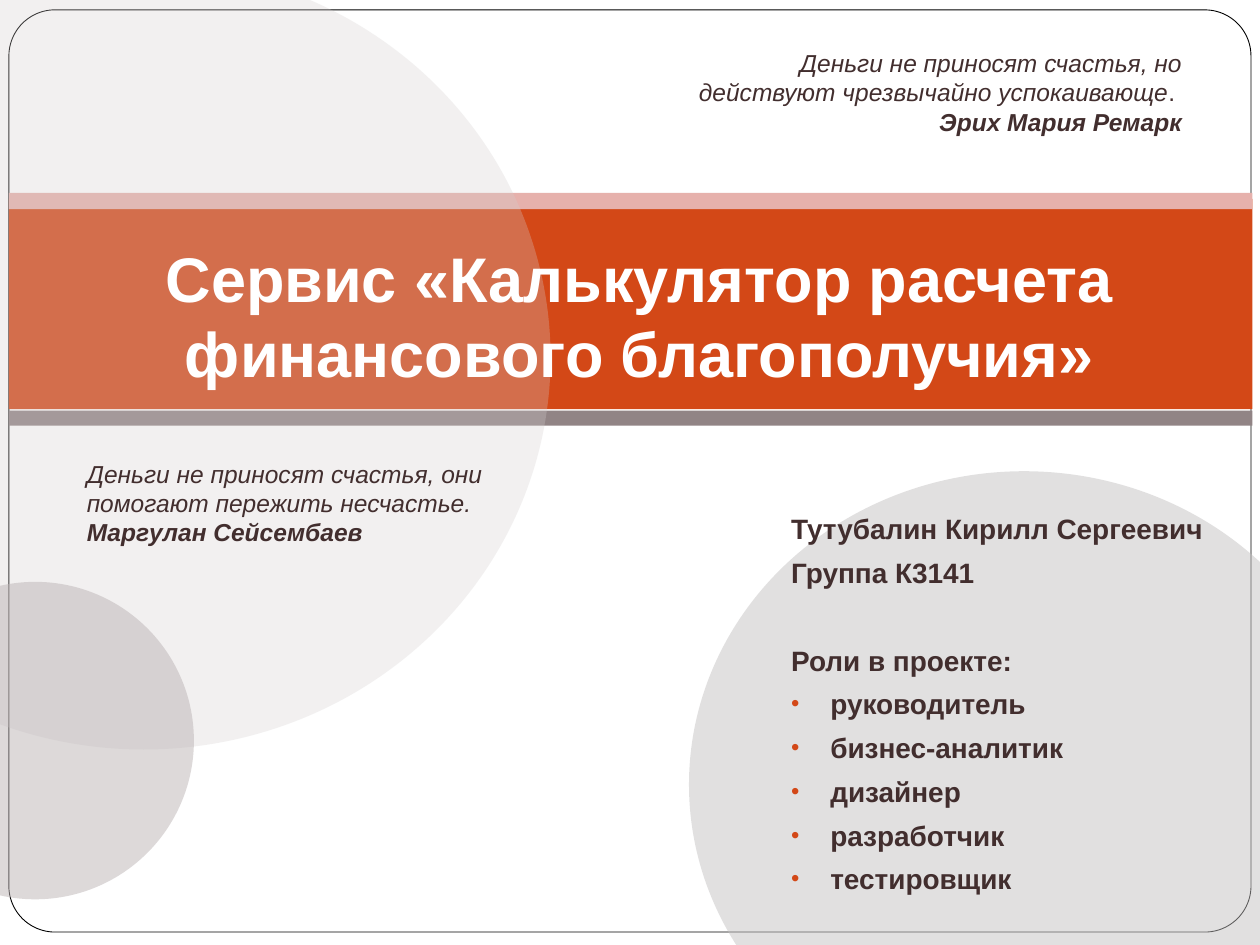
"""Build the title slide of the financial well-being calculator project."""
import pptx
import pptx.util
import pptx.dml.color
import pptx.enum.shapes
import pptx.enum.text
import pptx.oxml
import pptx.oxml.ns
from pptx.util import Cm, Pt

COLORS = {
    "white": "FFFFFF", "black": "000000", "accent": "D34817", "pink": "E6B1AC",
    "mauve": "918485", "text": "422E2E", "gray": "C3C1C1", "pale": "D3CECE", "taupe": "BDB5B6",
}
FONT = "Arial"
SHAPE = pptx.enum.shapes.MSO_SHAPE
ALIGN = pptx.enum.text.PP_ALIGN

BAND_LEFT, BAND_WIDTH = 0.18, 25.07
BANDS = [(4.01, 4.24, "accent"), (3.89, 0.33, "pink"), (8.28, 0.3, "mauve")]
BACK_CIRCLES = [
    ((13.89, 9.5, 13.51, 13.51 * 0.935), "gray", 49),
    ((-5.31, -0.69, 16.41, 15.8), "pale", 29),
]
FRONT_CIRCLE = ((-2.49, 11.73, 6.4, 6.4), "taupe", 51)

TITLE = "Сервис «Калькулятор расчета финансового благополучия»"
AUTHOR = ["Тутубалин Кирилл Сергеевич", "Группа К3141"]
ROLES_HEADING = "Роли в проекте:"
ROLES = ["руководитель", "бизнес-аналитик", "дизайнер", "разработчик", "тестировщик"]
QUOTES = [
    ((13.49, 0.84), ALIGN.RIGHT,
     [("Деньги не приносят счастья, но действуют чрезвычайно успокаивающе", True), (". ", False)],
     "Эрих Мария Ремарк"),
    ((1.5, 9.12), ALIGN.LEFT,
     [("Деньги не приносят счастья, они помогают пережить несчастье.", True)],
     "Маргулан Сейсембаев"),
]
QUOTE_SIZE = (10.59, 2.06)


def rgb(name):
    return pptx.dml.color.RGBColor.from_string(COLORS[name])


def add_shape(slide, kind, place, color, alpha=None):
    shape = slide.shapes.add_shape(kind, *map(Cm, place))
    shape.shadow.inherit = False
    shape.fill.solid()
    shape.fill.fore_color.rgb = rgb(color)
    shape.line.fill.background()
    if alpha is not None:
        tone = shape.fill._xPr.find(".//" + pptx.oxml.ns.qn("a:srgbClr"))
        pptx.oxml.ns.qn("a:alpha")
        tone.append(pptx.oxml.parse_xml(
            f'<a:alpha {pptx.oxml.ns.nsdecls("a")} val="{alpha * 1000}"/>'))
    return shape


def add_text_box(slide, place):
    frame = slide.shapes.add_textbox(*map(Cm, place)).text_frame
    frame.word_wrap = True
    return frame


def add_para(frame, runs, size, color="text", align=ALIGN.LEFT, before=0):
    first = frame.paragraphs[0]
    para = frame.add_paragraph() if first.runs else first
    para.alignment = align
    para.space_before = Pt(before)
    for text, bold, italic in runs:
        span = para.add_run()
        span.text = text
        span.font.name = FONT
        span.font.size = Pt(size)
        span.font.bold = bold
        span.font.italic = italic
        span.font.color.rgb = rgb(color)
    return para


def add_bullet(para):
    props = para._p.get_or_add_pPr()
    props.set("marL", str(Cm(0.79)))
    props.set("indent", str(-Cm(0.79)))
    names = pptx.oxml.ns.nsdecls("a")
    for xml in (
        f'<a:buClr {names}><a:srgbClr val="{COLORS["accent"]}"/></a:buClr>',
        f'<a:buSzPct {names} val="85000"/>',
        f'<a:buFont {names} typeface="{FONT}"/>',
        f'<a:buChar {names} char="•"/>',
    ):
        props.append(pptx.oxml.parse_xml(xml))


def add_backdrop(slide):
    border = add_shape(slide, SHAPE.ROUNDED_RECTANGLE, (0.18, 0.2, 25.04, 18.59), "white")
    border.adjustments[0] = 0.05
    border.line.color.rgb = rgb("black")
    border.line.width = Pt(0.5)
    for top, height, color in BANDS:
        add_shape(slide, SHAPE.RECTANGLE, (BAND_LEFT, top, BAND_WIDTH, height), color)
    for circle in BACK_CIRCLES:
        add_shape(slide, SHAPE.OVAL, *circle)


def add_team(slide):
    frame = add_text_box(slide, (15.7, 10.19, 9.19, 7.92))
    for line in AUTHOR:
        add_para(frame, [(line, True, False)], 16, before=5.8)
    add_para(frame, [(ROLES_HEADING, True, False)], 16, before=31)
    for role in ROLES:
        add_bullet(add_para(frame, [(role, True, False)], 16, before=5.8))


def add_title(slide):
    frame = add_text_box(slide, (0.89, 5.13, 24, 4.09))
    frame.vertical_anchor = pptx.enum.text.MSO_ANCHOR.MIDDLE
    frame.margin_bottom = Cm(1.78)
    add_para(frame, [(TITLE, True, False)], 36, "white", ALIGN.CENTER)


def add_quotes(slide):
    for corner, align, words, speaker in QUOTES:
        frame = add_text_box(slide, corner + QUOTE_SIZE)
        frame.auto_size = pptx.enum.text.MSO_AUTO_SIZE.SHAPE_TO_FIT_TEXT
        add_para(frame, [(text, False, italic) for text, italic in words], 14, align=align)
        add_para(frame, [(speaker, True, True)], 14, align=align)


def main():
    deck = pptx.Presentation()
    deck.slide_width, deck.slide_height = Cm(25.4), Cm(19.05)
    slide = deck.slides.add_slide(deck.slide_layouts[6])
    add_backdrop(slide)
    add_team(slide)
    add_title(slide)
    add_shape(slide, SHAPE.OVAL, *FRONT_CIRCLE)
    add_quotes(slide)
    deck.save("out.pptx")


if __name__ == "__main__":
    main()
